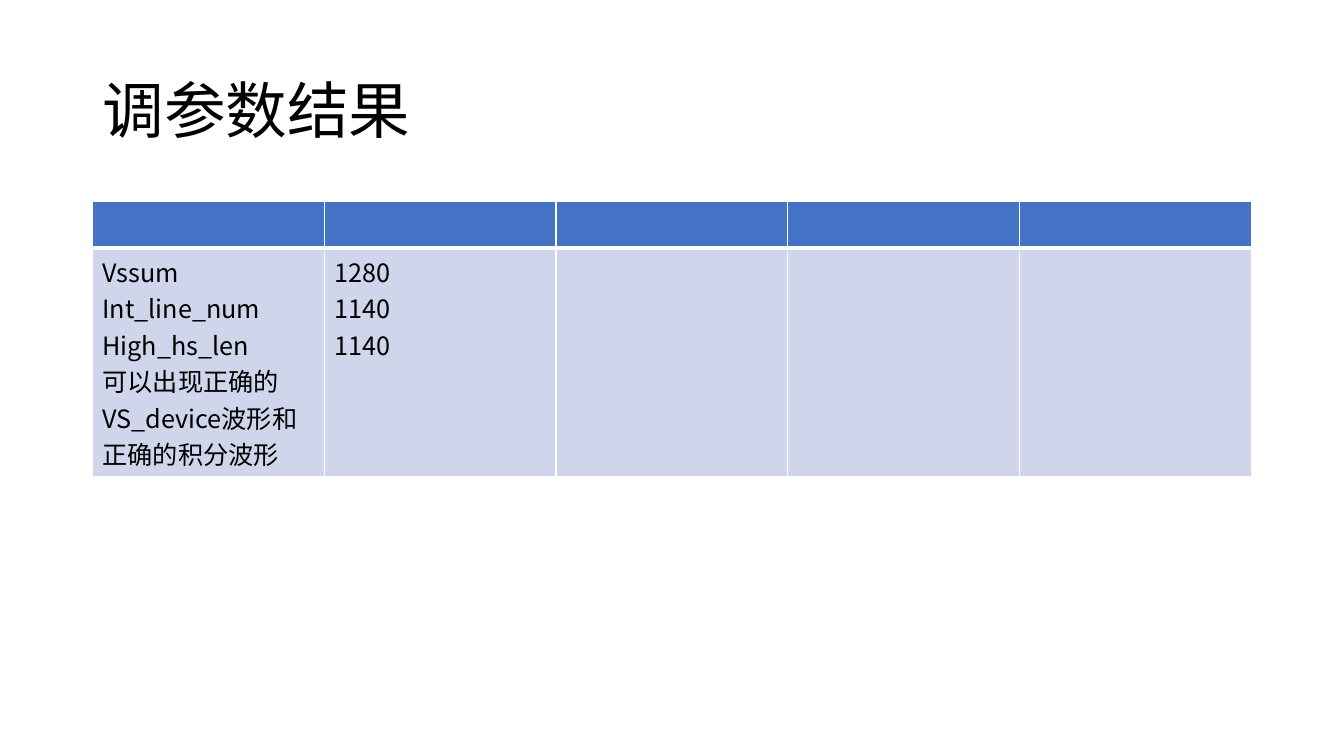
"""Build the parameter tuning results slide with its title and table."""
from dataclasses import dataclass

from lxml import etree
from pptx import Presentation
from pptx.dml.color import RGBColor
from pptx.enum.text import MSO_ANCHOR, MSO_AUTO_SIZE, PP_ALIGN
from pptx.oxml.ns import qn
from pptx.util import Pt

LEFT = PP_ALIGN.LEFT
MIDDLE = MSO_ANCHOR.MIDDLE
NO_AUTOFIT = MSO_AUTO_SIZE.NONE
TITLE_ONLY_LAYOUT = 5
FONT_NAME = "Noto Sans CJK SC"
COLORS = {"text": "000000", "header": "4472C4", "body": "CFD5EA", "border": "FFFFFF"}
COLUMN_COUNT = 5
COLUMN_WIDTH = 165.6
TITLE_BOX = {"left": Pt(66), "top": Pt(28.75), "width": Pt(828), "height": Pt(104.38)}
TITLE_FRAME = {"vertical_anchor": MIDDLE, "auto_size": NO_AUTOFIT, "word_wrap": True}
TITLE_PARAGRAPH = {"alignment": LEFT, "line_spacing": 0.9}
TABLE_FLAGS = {"first_row": False, "horz_banding": False}


@dataclass(frozen=True)
class TableRow:
    """Describe one row: its height, fill, edge widths and cell lines."""

    height: float
    fill: str
    top_border: float
    bottom_border: float
    cells: tuple[tuple[str, ...], ...] = ()


ROWS = (
    TableRow(33.2, "header", 1, 3),
    TableRow(133.1, "body", 3, 1, (
        ("Vssum", "Int_line_num", "High_hs_len",
         "可以出现正确的VS_device波形和正确的积分波形"),
        ("1280", "1140", "1140"),
    )),
)


def apply_format(target: object, values: dict) -> None:
    """Set each named attribute on the target."""
    for name, value in values.items():
        setattr(target, name, value)


def add_text(paragraph, text: str, size: float) -> None:
    """Add a run in the slide font to the paragraph."""
    run = paragraph.add_run()
    run.text = text
    apply_format(run.font, {"name": FONT_NAME, "size": Pt(size), "bold": False})
    run.font.color.rgb = RGBColor.from_string(COLORS["text"])
    east_asian = etree.SubElement(run.font._element, qn("a:ea"))
    east_asian.set("typeface", FONT_NAME)


def add_borders(cell, row: TableRow) -> None:
    """Draw the four solid edges of a cell."""
    properties = cell._tc.get_or_add_tcPr()
    widths = {"lnL": 1, "lnR": 1, "lnT": row.top_border, "lnB": row.bottom_border}
    for position, (tag, width) in enumerate(widths.items()):
        line = etree.Element(qn(f"a:{tag}"), w=str(Pt(width)))
        fill = etree.SubElement(line, qn("a:solidFill"))
        etree.SubElement(fill, qn("a:srgbClr"), val=COLORS["border"])
        properties.insert(position, line)


def fill_row(table, index: int, row: TableRow) -> None:
    """Format one table row and write its text."""
    table.rows[index].height = Pt(row.height)
    for cell in table.rows[index].cells:
        cell.fill.solid()
        cell.fill.fore_color.rgb = RGBColor.from_string(COLORS[row.fill])
        add_borders(cell, row)
    for column, lines in enumerate(row.cells):
        frame = table.cell(index, column).text_frame
        for number, text in enumerate(lines):
            paragraph = frame.add_paragraph() if number else frame.paragraphs[0]
            add_text(paragraph, text, 18)


def add_title(slide) -> None:
    """Place and format the slide title."""
    title = slide.shapes.title
    paragraph = title.text_frame.paragraphs[0]
    apply_format(title, TITLE_BOX)
    apply_format(title.text_frame, TITLE_FRAME)
    apply_format(paragraph, TITLE_PARAGRAPH)
    add_text(paragraph, "调参数结果", 44)


def add_results_table(slide) -> None:
    """Add the table of tuned parameters."""
    height = sum(row.height for row in ROWS)
    table = slide.shapes.add_table(
        len(ROWS), COLUMN_COUNT, Pt(66), Pt(144),
        Pt(COLUMN_COUNT * COLUMN_WIDTH), Pt(height),
    ).table
    apply_format(table, TABLE_FLAGS)
    for column in table.columns:
        column.width = Pt(COLUMN_WIDTH)
    for index, row in enumerate(ROWS):
        fill_row(table, index, row)


def main() -> None:
    """Create and save the presentation."""
    presentation = Presentation()
    apply_format(presentation, {"slide_width": Pt(960), "slide_height": Pt(540)})
    layout = presentation.slide_layouts[TITLE_ONLY_LAYOUT]
    slide = presentation.slides.add_slide(layout)
    add_title(slide)
    add_results_table(slide)
    presentation.save("out.pptx")


if __name__ == "__main__":
    main()
